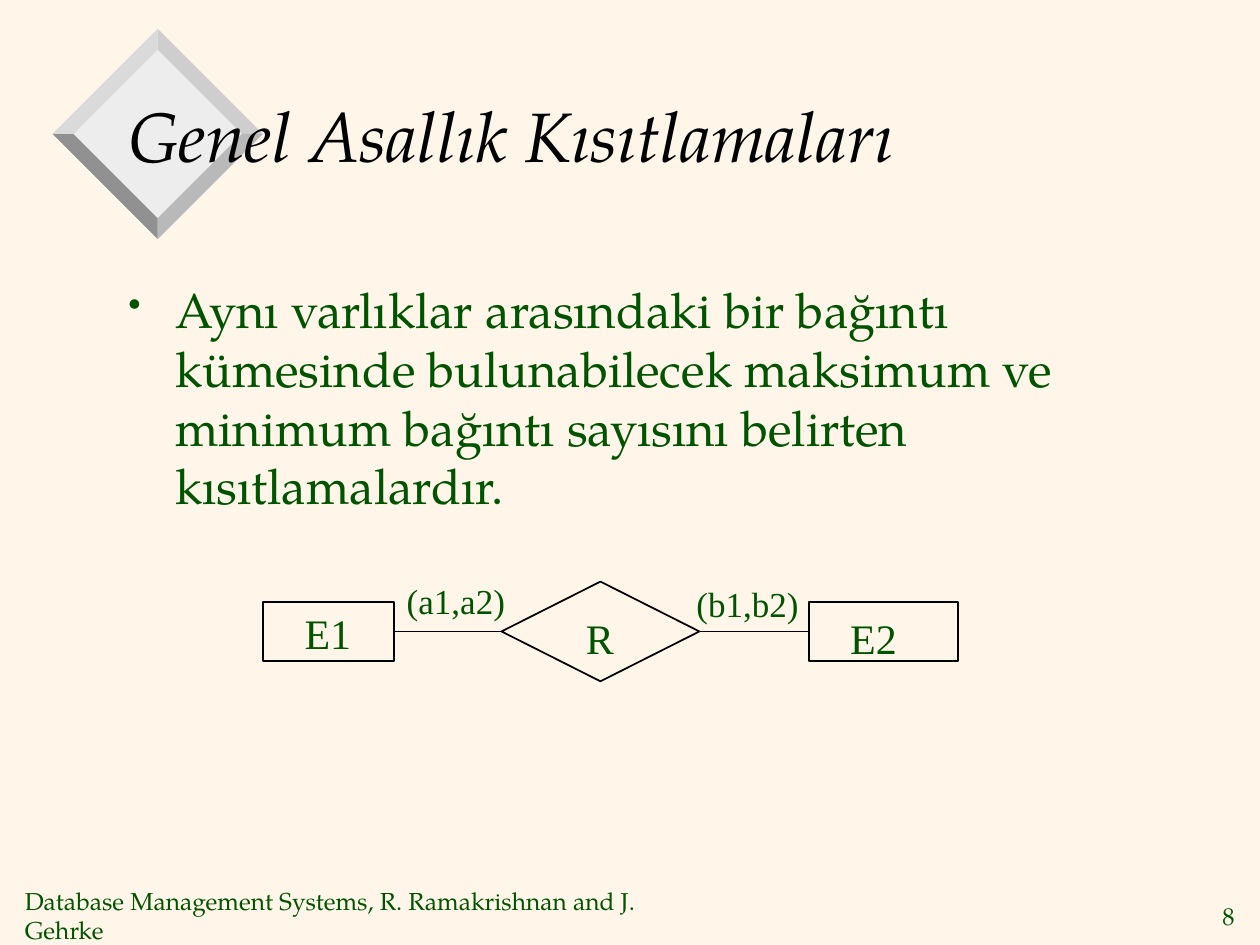
from dataclasses import dataclass

from lxml.etree import SubElement
from pptx import Presentation
from pptx.dml.color import RGBColor
from pptx.enum.shapes import MSO_CONNECTOR as Connector, MSO_SHAPE as Preset
from pptx.enum.text import MSO_ANCHOR as Anchor, PP_ALIGN as Align
from pptx.oxml.ns import qn
from pptx.util import Cm, Pt

BLACK = "000000"
GREEN = "005400"
PAGELLA = "TeX Gyre Pagella"
TIMES = "Times New Roman"


@dataclass
class Label:
    text: str
    left: float
    top: float
    width: float
    height: float
    size: float
    font: str = TIMES
    color: str = GREEN
    italic: bool = False
    wrap: bool = False
    anchor: Anchor = Anchor.TOP
    align: Align = Align.LEFT


@dataclass
class Node:
    preset: Preset
    left: float
    width: float
    height: float


def rgb(color: str) -> RGBColor:
    return RGBColor.from_string(color)


def add_label(slide, label: Label):
    box = slide.shapes.add_textbox(
        Cm(label.left), Cm(label.top), Cm(label.width), Cm(label.height))
    frame = box.text_frame
    frame.word_wrap = label.wrap
    frame.vertical_anchor = label.anchor
    paragraph = frame.paragraphs[0]
    paragraph.text = label.text
    paragraph.alignment = label.align
    paragraph.font.size = Pt(label.size)
    paragraph.font.name = label.font
    paragraph.font.italic = label.italic
    paragraph.font.color.rgb = rgb(label.color)
    return paragraph


def add_bullet(paragraph, indent: float) -> None:
    paragraph.space_before = Pt(5.6)
    properties = paragraph._p.get_or_add_pPr()
    properties.set("marL", str(Cm(indent)))
    properties.set("indent", str(-Cm(indent)))
    color = SubElement(properties, qn("a:buClr"))
    SubElement(color, qn("a:srgbClr"), val=GREEN)
    SubElement(properties, qn("a:buSzPct"), val="75000")
    SubElement(properties, qn("a:buChar"), char="•")


def add_facet(slide, points: list[tuple[float, float]], color: str) -> None:
    start, *others = [(Cm(x), Cm(y)) for x, y in points]
    builder = slide.shapes.build_freeform(*start)
    builder.add_line_segments(others, close=True)
    shape = builder.convert_to_shape()
    shape.shadow.inherit = False
    shape.fill.solid()
    shape.fill.fore_color.rgb = rgb(color)
    shape.line.fill.background()


def add_ornament(slide, x: float, y: float, outer: float, inner: float) -> None:
    def corners(radius: float) -> list[tuple[float, float]]:
        return [(x, y - radius), (x + radius, y), (x, y + radius), (x - radius, y)]

    outside, inside = corners(outer), corners(inner)
    add_facet(slide, inside, "EDEDED")
    for index, color in enumerate(["CECECE", "B9B9B9", "919191", "DADADA"]):
        following = (index + 1) % 4
        add_facet(slide, [inside[index], outside[index],
                          outside[following], inside[following]], color)


def add_node(slide, node: Node, axis: float) -> None:
    shape = slide.shapes.add_shape(
        node.preset, Cm(node.left), Cm(axis - node.height / 2),
        Cm(node.width), Cm(node.height))
    shape.shadow.inherit = False
    shape.fill.background()
    shape.line.color.rgb = rgb(BLACK)
    shape.line.width = Pt(1)


def add_link(slide, start: Node, end: Node, axis: float) -> None:
    link = slide.shapes.add_connector(
        Connector.STRAIGHT, Cm(start.left + start.width), Cm(axis),
        Cm(end.left), Cm(axis))
    link.line.color.rgb = rgb(BLACK)
    link.line.width = Pt(1)
    SubElement(link._element.spPr, qn("a:effectLst"))


presentation = Presentation()
presentation.slide_width = Cm(25.4)
presentation.slide_height = Cm(19.05)
slide = presentation.slides.add_slide(presentation.slide_layouts[6])
slide.background.fill.solid()
slide.background.fill.fore_color.rgb = rgb("FFF6E9")

add_ornament(slide, x=3.18, y=2.7, outer=2.12, inner=1.7)

add_label(slide, Label(
    "Database Management Systems, R. Ramakrishnan and J. Gehrke",
    0.25, 18.03, 14.53, 0.84, 14, PAGELLA, anchor=Anchor.MIDDLE))
add_label(slide, Label(
    "8", 24.05, 18.03, 1.09, 0.84, 14, PAGELLA,
    anchor=Anchor.MIDDLE, align=Align.RIGHT))
add_label(slide, Label(
    "Genel Asallık Kısıtlamaları", 2.34, 1.17, 21.59, 3.07, 40, PAGELLA,
    BLACK, italic=True, wrap=True, anchor=Anchor.MIDDLE))
definition = add_label(slide, Label(
    "Aynı varlıklar arasındaki bir bağıntı kümesinde bulunabilecek maksimum ve "
    "minimum bağıntı sayısını belirten kısıtlamalardır.",
    2.34, 5.51, 21.59, 11.33, 28, PAGELLA, wrap=True))
add_bullet(definition, indent=0.95)

AXIS = 12.73
nodes = [
    Node(Preset.RECTANGLE, 5.31, 2.64, 1.19),
    Node(Preset.DIAMOND, 10.11, 3.99, 2.01),
    Node(Preset.RECTANGLE, 16.31, 3.0, 1.19),
]
for node in nodes:
    add_node(slide, node, AXIS)
for start, end in zip(nodes, nodes[1:]):
    add_link(slide, start, end, AXIS)

diagram_labels = [
    Label("E1", 5.89, 12.12, 1.8, 1.27, 24, wrap=True),
    Label("R", 11.56, 12.22, 1.09, 1.27, 24),
    Label("E2", 16.89, 12.22, 1.8, 1.27, 24, wrap=True),
    Label("(a1,a2)", 7.95, 11.56, 2.51, 1.12, 20),
    Label("(b1,b2)", 13.79, 11.61, 2.59, 1.12, 20),
]
for label in diagram_labels:
    add_label(slide, label)

presentation.save("out.pptx")
